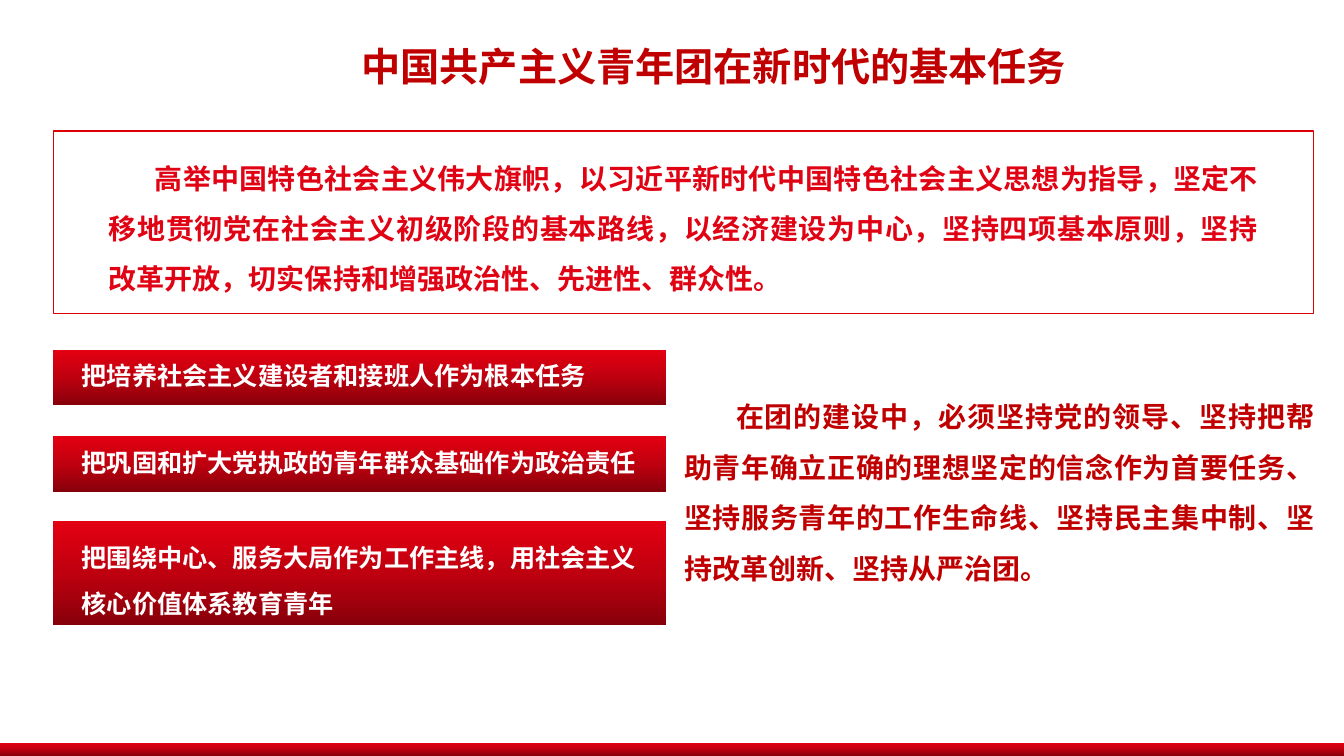
"""Build the slide on the basic tasks of the Communist Youth League."""
from copy import deepcopy

from lxml.etree import SubElement
from pptx import Presentation
from pptx.dml.color import RGBColor
from pptx.enum.shapes import MSO_SHAPE as Shape
from pptx.enum.text import MSO_ANCHOR as Anchor, MSO_AUTO_SIZE as AutoSize, PP_ALIGN as Align
from pptx.oxml.ns import qn
from pptx.util import Cm, Pt

FONT = "Noto Sans CJK SC"
COLORS = {
    "title": "C00000",
    "guide": "E00314",
    "frame": "DC0005",
    "white": "FFFFFF",
    "dark": "86000A",
    "middle": "BF000F",
    "bright": "E30011",
}


def add_block(left, top, width, height, gradient=True):
    """Add a plain rectangle, filled with the red gradient or with white."""
    block = slide.shapes.add_shape(Shape.RECTANGLE, Cm(left), Cm(top), Cm(width), Cm(height))
    block.shadow.inherit = False
    if not gradient:
        block.fill.solid()
        block.fill.fore_color.rgb = RGBColor.from_string(COLORS["white"])
        return block
    block.line.fill.background()
    block.fill.gradient()
    block.fill.gradient_angle = 90
    stop_list = block._element.spPr.find(".//" + qn("a:gsLst"))
    stop_list.insert(1, deepcopy(stop_list[0]))
    for index, (stop, name) in enumerate(zip(block.fill.gradient_stops, ("dark", "middle", "bright"))):
        stop.position = index / 2
        stop.color.rgb = RGBColor.from_string(COLORS[name])
    return block


def write_text(shape, text, size, color, frame_format, paragraph_format, indent=0):
    """Write one bold paragraph into a shape."""
    frame = shape.text_frame
    for name, value in {"word_wrap": True, **frame_format}.items():
        setattr(frame, name, value)
    paragraph = frame.paragraphs[0]
    for name, value in paragraph_format.items():
        setattr(paragraph, name, value)
    paragraph._p.get_or_add_pPr().set("indent", str(Cm(indent)))
    run = paragraph.add_run()
    run.text = text
    for name, value in {"name": FONT, "size": Pt(size), "bold": True}.items():
        setattr(run.font, name, value)
    run.font.color.rgb = RGBColor.from_string(COLORS[color])
    SubElement(run._r.get_or_add_rPr(), qn("a:ea"), typeface=FONT)


presentation = Presentation()
presentation.slide_width = Cm(33.87)
presentation.slide_height = Cm(19.05)
slide = presentation.slides.add_slide(presentation.slide_layouts[5])

add_block(0, 18.72, 33.87, 0.33)
guide_frame = add_block(1.35, 3.3, 31.75, 4.6, gradient=False)
guide_frame.line.color.rgb = RGBColor.from_string(COLORS["frame"])
guide_frame.line.width = Pt(1)

title = slide.shapes.title
title_place = {"left": Cm(6.27), "top": Cm(0.94), "width": Cm(21.46), "height": Cm(1.45)}
for name, value in title_place.items():
    setattr(title, name, value)
write_text(
    title, "中国共产主义青年团在新时代的基本任务", 28, "title",
    {"auto_size": AutoSize.SHAPE_TO_FIT_TEXT, "vertical_anchor": Anchor.TOP},
    {"alignment": Align.CENTER}, indent=1.98,
)

passages = [
    (2.49, 3.51, 29.46, 4.09, 1.16, "guide",
     "高举中国特色社会主义伟大旗帜，以习近平新时代中国特色社会主义思想为指导，"
     "坚定不移地贯彻党在社会主义初级阶段的基本路线，以经济建设为中心，"
     "坚持四项基本原则，坚持改革开放，切实保持和增强政治性、先进性、群众性。"),
    (16.99, 9.53, 16.38, 5.38, 1.31, "title",
     "在团的建设中，必须坚持党的领导、坚持把帮助青年确立正确的理想坚定的信念作为首要任务、"
     "坚持服务青年的工作生命线、坚持民主集中制、坚持改革创新、坚持从严治团。"),
]
for left, top, width, height, indent, color, text in passages:
    passage = slide.shapes.add_textbox(Cm(left), Cm(top), Cm(width), Cm(height))
    write_text(
        passage, text, 20, color, {"auto_size": AutoSize.SHAPE_TO_FIT_TEXT},
        {"alignment": Align.JUSTIFY, "line_spacing": 1.5}, indent,
    )

task_bars = [
    (8.81, 1.4, 0.9, "把培养社会主义建设者和接班人作为根本任务"),
    (11, 1.4, 0.9, "把巩固和扩大党执政的青年群众基础作为政治责任"),
    (13.13, 2.62, 1.5, "把围绕中心、服务大局作为工作主线，用社会主义核心价值体系教育青年"),
]
margins = {f"margin_{side}": Cm(0.73) for side in ("left", "top", "right", "bottom")}
for top, height, line_spacing, text in task_bars:
    bar = add_block(1.33, top, 15.46, height)
    write_text(
        bar, text, 18, "white", {"vertical_anchor": Anchor.MIDDLE, **margins},
        {"alignment": Align.LEFT, "line_spacing": line_spacing, "space_after": Pt(6.3)},
    )

presentation.save("out.pptx")
